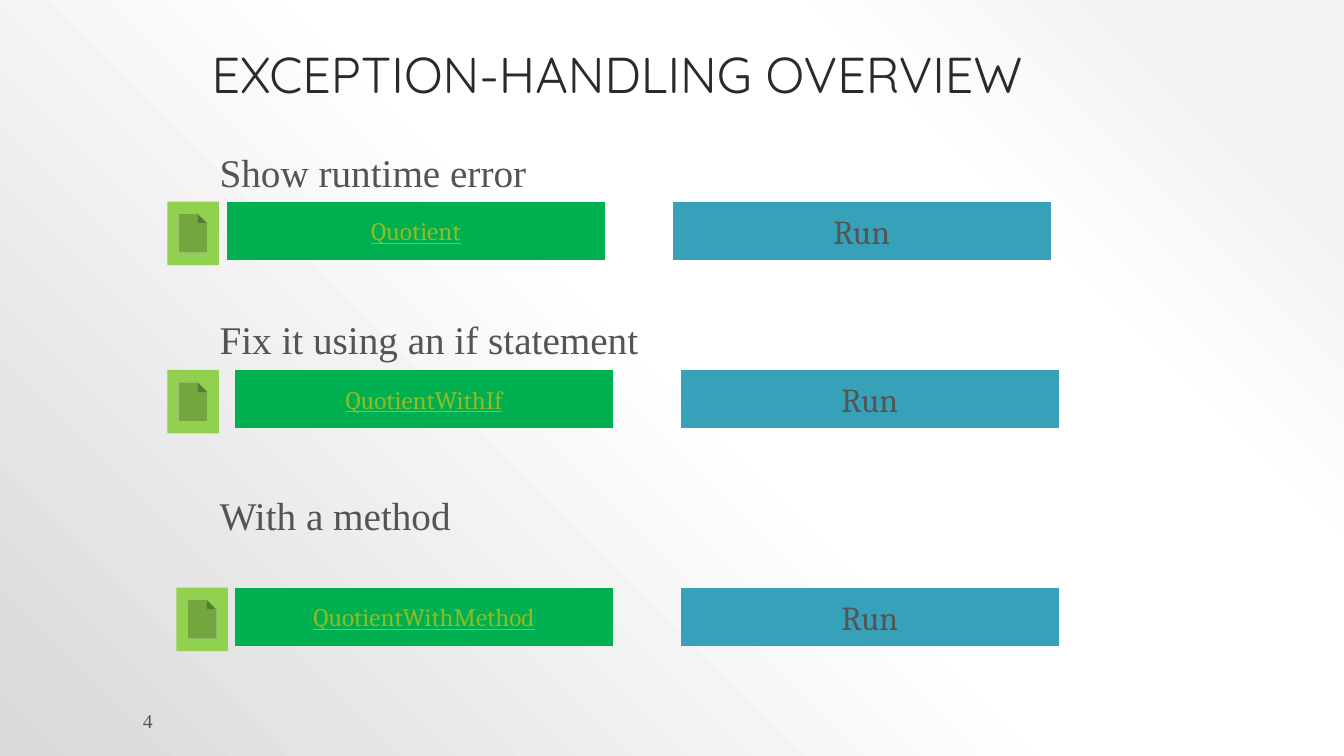
"""Build the exception-handling overview slide."""
import lxml.etree
import pptx
import pptx.dml.color
import pptx.enum.shapes
import pptx.enum.text
import pptx.oxml.ns
import pptx.util

RGBColor = pptx.dml.color.RGBColor
Inches = pptx.util.Inches
Pt = pptx.util.Pt
SHAPE = pptx.enum.shapes.MSO_SHAPE
ANCHOR = pptx.enum.text.MSO_ANCHOR
ALIGN = pptx.enum.text.PP_ALIGN
AUTO = pptx.enum.text.MSO_AUTO_SIZE
qn = pptx.oxml.ns.qn

GREEN = RGBColor(0x00, 0xB0, 0x50)
BLUE = RGBColor(0x38, 0xA1, 0xBA)
LIME = RGBColor(0x92, 0xD0, 0x50)
LINK = RGBColor(0x90, 0xBB, 0x23)
GREY = RGBColor(0x54, 0x54, 0x54)
DARK = RGBColor(0x2A, 0x2A, 0x2A)
BACKDROP = ((10, RGBColor(0xF2, 0xF2, 0xF2)), (28, RGBColor(0xFF, 0xFF, 0xFF)),
            (48, RGBColor(0xFF, 0xFF, 0xFF)), (100, RGBColor(0xD9, 0xD9, 0xD9)))

SERIF = "Times New Roman"
TITLE = {"name": "Quicksand", "size": Pt(36), "color": DARK}
CAPTION = {"name": SERIF, "size": Pt(28), "color": GREY}
NUMBER = {"name": SERIF, "size": Pt(14), "color": GREY}
SOURCE = {"name": "Cambria", "size": Pt(18), "color": LINK, "underline": True}
RUN = {"name": "Cambria", "size": Pt(24), "color": GREY}

BUTTON_SIZE = (3.75, 0.58)
RUN_OFFSET = 4.42
ROWS = (
    ("Show runtime error", 1.42, "Quotient", 2, 2.25, 1.66),
    ("Fix it using an if statement", 3.08, "QuotientWithIf", 3.67, 2.33, 1.66),
    ("With a method", 4.83, "QuotientWithMethod", 5.83, 2.33, 1.75),
)


class Deck:
    def __init__(self):
        self.prs = pptx.Presentation()
        self.prs.slide_width = Inches(13.33)
        self.prs.slide_height = Inches(7.5)
        self.s = self.prs.slides.add_slide(self.prs.slide_layouts[6])

    def background(self, stops):
        self.s.background.fill.gradient()
        grad = self.s.element.find(".//" + qn("a:gradFill"))
        for child in list(grad):
            grad.remove(child)
        add = lxml.etree.SubElement
        gs_list = add(grad, qn("a:gsLst"))
        for pos, color in stops:
            gs = add(gs_list, qn("a:gs"), pos=str(pos * 1000))
            add(gs, qn("a:srgbClr"), val=str(color))
        focus = add(grad, qn("a:path"), path="circle")
        add(focus, qn("a:fillToRect"), l="100000", b="100000")

    def fill_text(self, sp, text, font, frame, para):
        tf = sp.text_frame
        p = tf.paragraphs[0]
        r = p.add_run()
        r.text = text
        for target, values in ((tf, frame), (p, para), (r.font, font)):
            for key, value in values.items():
                if key == "color":
                    target.color.rgb = value
                else:
                    setattr(target, key, value)
        return p

    def text(self, text, box, font, frame, para):
        sp = self.s.shapes.add_textbox(*map(Inches, box))
        return self.fill_text(sp, text, font, {"word_wrap": True, **frame}, para)

    def caption(self, text, top):
        p = self.text(text, (2.08, top, 9.33, 0.57), CAPTION,
                      {"auto_size": AUTO.SHAPE_TO_FIT_TEXT}, {"alignment": ALIGN.LEFT})
        before = lxml.etree.SubElement(p._p.get_or_add_pPr(), qn("a:spcBef"))
        lxml.etree.SubElement(before, qn("a:spcPct"), val="50000")

    def shape(self, kind, box, color):
        sp = self.s.shapes.add_shape(kind, *map(Inches, box))
        sp.shadow.inherit = False
        sp.fill.solid()
        sp.fill.fore_color.rgb = color
        sp.line.fill.background()
        return sp

    def button(self, text, left, top, color, font):
        sp = self.shape(SHAPE.ACTION_BUTTON_CUSTOM, (left, top, *BUTTON_SIZE), color)
        self.fill_text(sp, text, font,
                       {"word_wrap": False, "vertical_anchor": ANCHOR.MIDDLE},
                       {"alignment": ALIGN.CENTER})

    def document_icon(self, left, top):
        self.shape(SHAPE.ACTION_BUTTON_DOCUMENT, (left, top, 0.51, 0.63), LIME)


def main():
    deck = Deck()
    deck.background(BACKDROP)
    deck.text("EXCEPTION-HANDLING OVERVIEW", (2, 0.42, 9.33, 0.67), TITLE,
              {"vertical_anchor": ANCHOR.BOTTOM}, {"line_spacing": 0.9})
    for caption, caption_top, source, top, left, icon_left in ROWS:
        deck.caption(caption, caption_top)
        deck.button(source, left, top, GREEN, SOURCE)
        deck.button("Run", left + RUN_OFFSET, top, BLUE, RUN)
        deck.document_icon(icon_left, top)
    deck.text("4", (1.32, 7.05, 7.26, 0.2), NUMBER,
              {"vertical_anchor": ANCHOR.MIDDLE}, {"alignment": ALIGN.LEFT})
    deck.prs.save("out.pptx")


if __name__ == "__main__":
    main()
